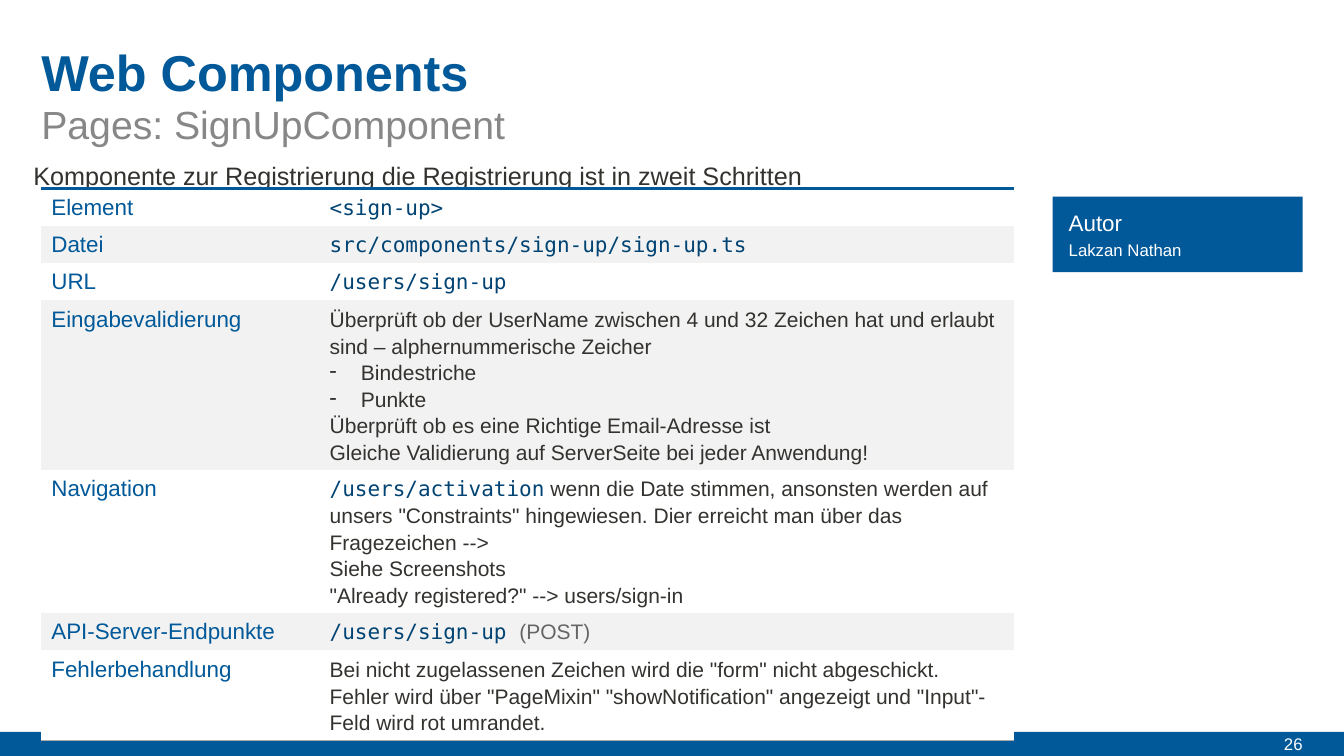
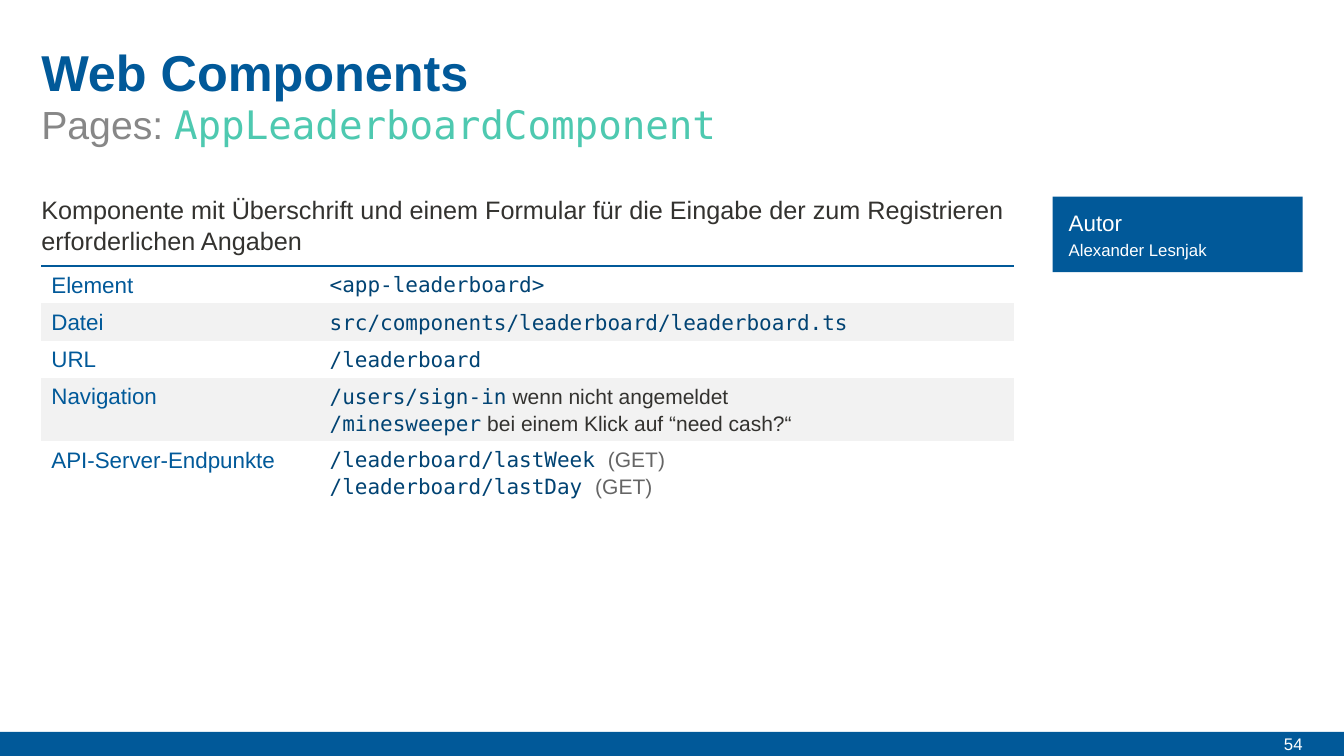
from dataclasses import dataclass

from lxml.etree import SubElement
from pptx import Presentation
from pptx.dml.color import RGBColor
from pptx.enum.shapes import MSO_SHAPE
from pptx.enum.text import MSO_ANCHOR, MSO_AUTO_SIZE, PP_ALIGN
from pptx.oxml import parse_xml
from pptx.oxml.ns import nsdecls, qn
from pptx.slide import Slide
from pptx.table import _Cell
from pptx.text.text import TextFrame, _Paragraph
from pptx.util import Inches, Pt

COLORS = {
    "blue": "015999",
    "navy": "014373",
    "text": "33322F",
    "gray": "878787",
    "method": "656565",
    "teal": "4EC9B0",
    "white": "FFFFFF",
    "stripe": "F2F2F2",
    "rule": "A9A9A9",
}
SANS = "Arial"
MONO = "DejaVu Sans Mono"
LEFT = 0.41
CONTENT_WIDTH = 9.65
COLUMN_WIDTHS = (2.76, 6.89)
ROW_HEIGHT = 0.37
BAND_TOP = 7.26
BAND_HEIGHT = 0.24
PLAIN_TABLE_STYLE = "{2D5ABB26-0587-4C30-8999-92F81FD0307C}"


@dataclass(frozen=True)
class Style:
    size: float
    color: str
    font: str = SANS
    bold: bool = False


TITLE = Style(36, "blue", bold=True)
SUBTITLE = Style(28, "gray")
SUBTITLE_CODE = Style(28, "teal", MONO)
INTRO = Style(18, "text")
LABEL = Style(16, "blue")
CODE = Style(15, "navy", MONO)
BODY = Style(15, "text")
METHOD = Style(15, "method")
AUTHOR_HEADING = Style(16, "white")
SMALL = Style(12, "white")


@dataclass(frozen=True)
class Run:
    text: str
    style: Style


@dataclass(frozen=True)
class Line:
    runs: tuple[Run, ...]
    bullet: bool = False


@dataclass(frozen=True)
class Row:
    label: str
    lines: tuple[Line, ...]


@dataclass(frozen=True)
class Box:
    left: float
    top: float
    width: float
    height: float


@dataclass(frozen=True)
class ComponentPage:
    number: int
    subtitle: Line
    intro: str
    intro_box: Box
    table_top: float
    rows: tuple[Row, ...]
    author: str
    closing_rule: bool = False


def code(text: str, remark: str = "", remark_style: Style = BODY) -> Line:
    runs = (Run(text, CODE),)
    return Line(runs + (Run(remark, remark_style),) if remark else runs)


def prose(text: str, bullet: bool = False) -> Line:
    return Line((Run(text, BODY),), bullet)


PAGES = (
    ComponentPage(
        number=26,
        subtitle=Line((Run("Pages: SignUpComponent", SUBTITLE),)),
        intro="Komponente zur Registrierung die Registrierung ist in zweit Schritten",
        intro_box=Box(0.33, 1.58, CONTENT_WIDTH, 0.29),
        table_top=1.87,
        rows=(
            Row("Element", (code("<sign-up>"),)),
            Row("Datei", (code("src/components/sign-up/sign-up.ts"),)),
            Row("URL", (code("/users/sign-up"),)),
            Row("Eingabevalidierung", (
                prose("Überprüft ob der UserName zwischen 4 und 32 Zeichen hat und erlaubt "
                      "sind – alphernummerische Zeicher"),
                prose("Bindestriche", bullet=True),
                prose("Punkte", bullet=True),
                prose("Überprüft ob es eine Richtige Email-Adresse ist"),
                prose("Gleiche Validierung auf ServerSeite bei jeder Anwendung!"),
            )),
            Row("Navigation", (
                code("/users/activation",
                     " wenn die Date stimmen, ansonsten werden auf unsers \"Constraints\" "
                     "hingewiesen. Dier erreicht man über das Fragezeichen -->"),
                prose("Siehe Screenshots"),
                prose("\"Already registered?\" --> users/sign-in"),
            )),
            Row("API-Server-Endpunkte", (code("/users/sign-up ", "(POST)", METHOD),)),
            Row("Fehlerbehandlung", (
                prose("Bei nicht zugelassenen Zeichen wird die \"form\" nicht "
                      "abgeschickt. Fehler wird über \"PageMixin\" \"showNotification\" "
                      "angezeigt und \"Input\"-Feld wird rot umrandet."),
            )),
        ),
        author="Lakzan Nathan",
        closing_rule=True,
    ),
    ComponentPage(
        number=54,
        subtitle=Line((Run("Pages: ", SUBTITLE), Run("AppLeaderboardComponent", SUBTITLE_CODE))),
        intro="Komponente mit Überschrift und einem Formular für die Eingabe der zum "
              "Registrieren erforderlichen Angaben",
        intro_box=Box(LEFT, 1.92, CONTENT_WIDTH, 0.6),
        table_top=2.64,
        rows=(
            Row("Element", (code("<app-leaderboard>"),)),
            Row("Datei", (code("src/components/leaderboard/leaderboard.ts"),)),
            Row("URL", (code("/leaderboard"),)),
            Row("Navigation", (
                code("/users/sign-in", " wenn nicht angemeldet"),
                code("/minesweeper", " bei einem Klick auf “need cash?“"),
            )),
            Row("API-Server-Endpunkte", (
                code("/leaderboard/lastWeek ", "(GET)", METHOD),
                code("/leaderboard/lastDay ", "(GET)", METHOD),
            )),
        ),
        author="Alexander Lesnjak",
    ),
)


def rgb(name: str) -> RGBColor:
    return RGBColor.from_string(COLORS[name])


def set_bullet(paragraph: _Paragraph, character: str, indent: float) -> None:
    properties = paragraph._p.get_or_add_pPr()
    properties.set("marL", str(Inches(indent)))
    properties.set("indent", str(-Inches(indent)))
    if character:
        SubElement(properties, qn("a:buChar")).set("char", character)
    else:
        SubElement(properties, qn("a:buNone"))


def add_runs(paragraph: _Paragraph, runs: tuple[Run, ...]) -> None:
    for item in runs:
        run = paragraph.add_run()
        run.text = item.text
        run.font.size = Pt(item.style.size)
        run.font.name = item.style.font
        run.font.bold = item.style.bold
        run.font.color.rgb = rgb(item.style.color)


def prepare_frame(frame: TextFrame, anchor: MSO_ANCHOR = MSO_ANCHOR.TOP) -> None:
    frame.margin_left = frame.margin_top = frame.margin_right = frame.margin_bottom = 0
    frame.word_wrap = True
    frame.auto_size = MSO_AUTO_SIZE.NONE
    frame.vertical_anchor = anchor


def fill_placeholder(slide: Slide, index: int, box: Box, line: Line, spacing: float) -> None:
    placeholder = slide.placeholders[index]
    placeholder.left, placeholder.top = Inches(box.left), Inches(box.top)
    placeholder.width, placeholder.height = Inches(box.width), Inches(box.height)
    prepare_frame(placeholder.text_frame)
    paragraph = placeholder.text_frame.paragraphs[0]
    set_bullet(paragraph, "", 0)
    paragraph.alignment = PP_ALIGN.LEFT
    paragraph.space_before = Pt(0)
    paragraph.line_spacing = spacing
    add_runs(paragraph, line.runs)


def add_text(slide: Slide, box: Box, text: str, style: Style, spacing: float,
             alignment: PP_ALIGN = PP_ALIGN.LEFT, anchor: MSO_ANCHOR = MSO_ANCHOR.TOP) -> None:
    shape = slide.shapes.add_textbox(
        Inches(box.left), Inches(box.top), Inches(box.width), Inches(box.height))
    prepare_frame(shape.text_frame, anchor)
    paragraph = shape.text_frame.paragraphs[0]
    paragraph.alignment = alignment
    paragraph.line_spacing = Pt(spacing)
    add_runs(paragraph, (Run(text, style),))


def add_panel(slide: Slide, box: Box) -> None:
    shape = slide.shapes.add_shape(
        MSO_SHAPE.RECTANGLE, Inches(box.left), Inches(box.top), Inches(box.width), Inches(box.height))
    shape.shadow.inherit = False
    shape.fill.solid()
    shape.fill.fore_color.rgb = rgb("blue")
    shape.line.fill.background()


def set_border(cell: _Cell, side: str, color: str, width: float) -> None:
    cell._tc.get_or_add_tcPr().insert(0, parse_xml(
        f'<a:{side} {nsdecls("a")} w="{Pt(width)}"><a:solidFill>'
        f'<a:srgbClr val="{COLORS[color]}"/></a:solidFill></a:{side}>'))


def fill_cell(cell: _Cell, lines: tuple[Line, ...], fill: str) -> None:
    cell.fill.solid()
    cell.fill.fore_color.rgb = rgb(fill)
    for index, line in enumerate(lines):
        frame = cell.text_frame
        paragraph = frame.add_paragraph() if index else frame.paragraphs[0]
        if line.bullet:
            set_bullet(paragraph, "-", 0.31)
        paragraph.line_spacing = Pt(19)
        add_runs(paragraph, line.runs)


def add_component_table(slide: Slide, page: ComponentPage) -> None:
    row_count = len(page.rows)
    table = slide.shapes.add_table(
        row_count, len(COLUMN_WIDTHS), Inches(LEFT), Inches(page.table_top),
        Inches(CONTENT_WIDTH), Inches(ROW_HEIGHT * row_count)).table
    table.first_row = table.horz_banding = False
    table._tbl.tblPr.find(qn("a:tableStyleId")).text = PLAIN_TABLE_STYLE
    for column, width in zip(table.columns, COLUMN_WIDTHS):
        column.width = Inches(width)
    for index, row in enumerate(page.rows):
        table.rows[index].height = Inches(ROW_HEIGHT)
        fill = "stripe" if index % 2 else "white"
        label = (Line((Run(row.label, LABEL),)),)
        for cell, lines in zip(table.rows[index].cells, (label, row.lines)):
            fill_cell(cell, lines, fill)
            if index == 0:
                set_border(cell, "lnT", "blue", 2)
            if page.closing_rule and index == row_count - 1:
                set_border(cell, "lnB", "rule", 0.5)


def add_footer(slide: Slide, number: int) -> None:
    add_panel(slide, Box(0, BAND_TOP, 13.33, BAND_HEIGHT))
    add_text(slide, Box(12.18, BAND_TOP, 0.74, BAND_HEIGHT), str(number), SMALL, 14,
             PP_ALIGN.RIGHT, MSO_ANCHOR.MIDDLE)


def add_author(slide: Slide, author: str) -> None:
    add_panel(slide, Box(10.44, 1.95, 2.48, 0.75))
    add_text(slide, Box(10.6, 2.08, 2.17, 0.27), "Autor", AUTHOR_HEADING, 19)
    add_text(slide, Box(10.6, 2.38, 2.17, 0.2), author, SMALL, 14)


def main() -> None:
    presentation = Presentation()
    presentation.slide_width, presentation.slide_height = Inches(13.33), Inches(7.5)
    title = Line((Run("Web Components", TITLE),))
    for page in PAGES:
        slide = presentation.slides.add_slide(presentation.slide_layouts[1])
        fill_placeholder(slide, 0, Box(LEFT, 0.41, CONTENT_WIDTH, 0.62), title, 1.0)
        fill_placeholder(slide, 1, Box(LEFT, 0.95, CONTENT_WIDTH, 0.55), page.subtitle, 1.1)
        add_footer(slide, page.number)
        add_text(slide, page.intro_box, page.intro, INTRO, 22)
        add_component_table(slide, page)
        add_author(slide, page.author)
    presentation.save("out.pptx")


if __name__ == "__main__":
    main()
